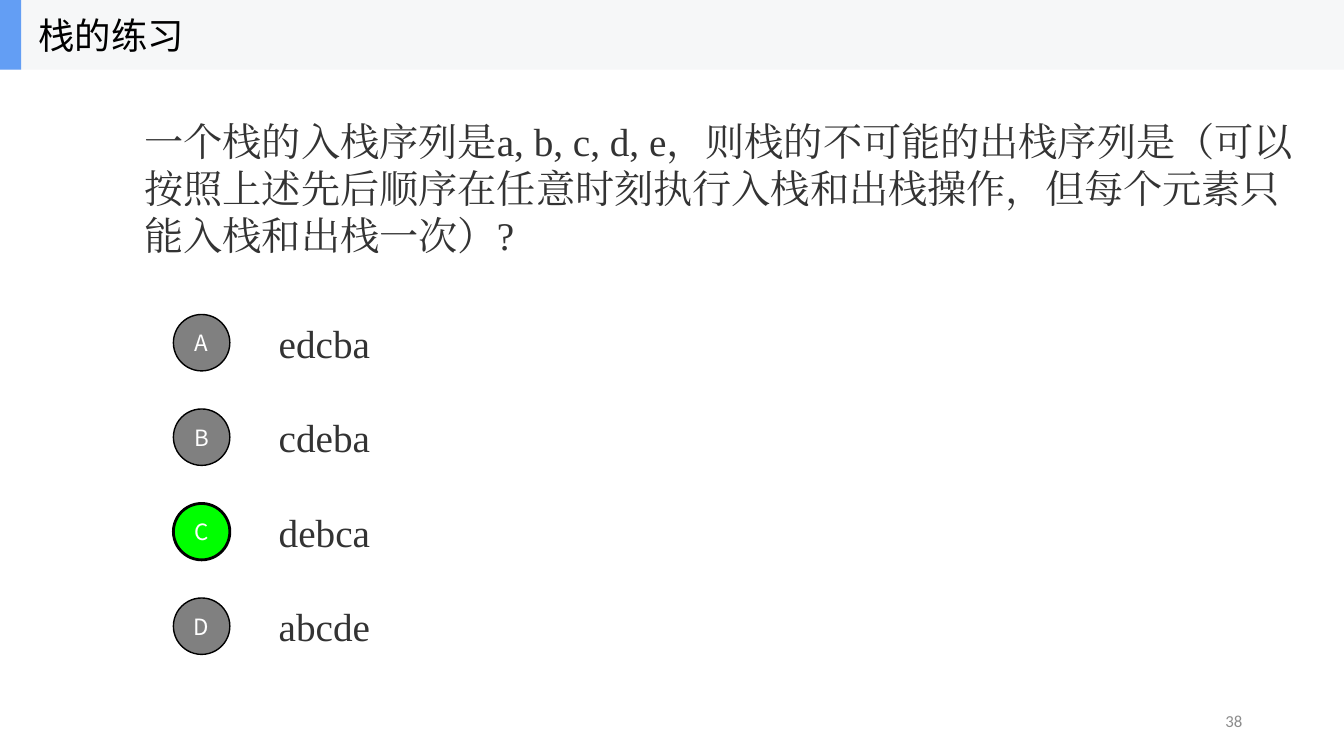
from lxml.etree import SubElement
from pptx import Presentation
from pptx.dml.color import RGBColor
from pptx.enum.shapes import MSO_SHAPE as Preset
from pptx.enum.text import MSO_ANCHOR as Anchor, MSO_AUTO_SIZE as AutoSize, PP_ALIGN as Align
from pptx.oxml.ns import qn
from pptx.util import Inches, Pt

WIDTH, HEIGHT = 13.33, 7.5
ROW = HEIGHT / 8
BAND_HEIGHT = 0.69
FIRST_OPTION_TOP = 3.05
OPTION_HEIGHT = 0.7
CIRCLE = 0.56
SANS, SERIF = "Noto Sans CJK SC", "Times New Roman"
INK, GREY, GREEN = "333333", "808080", "00FF00"

QUESTION = (
    "一个栈的入栈序列是a, b, c, d, e，则栈的不可能的出栈序列是"
    "（可以按照上述先后顺序在任意时刻执行入栈和出栈操作，"
    "但每个元素只能入栈和出栈一次）?"
)
OPTIONS = {"A": "edcba", "B": "cdeba", "C": "debca", "D": "abcde"}
ANSWER = "C"


def color(hex_string):
    return RGBColor.from_string(hex_string)


def place(shape, left, top, width, height):
    shape.left, shape.top = Inches(left), Inches(top)
    shape.width, shape.height = Inches(width), Inches(height)


def write(shape, text, size, font, hex_string, align=Align.LEFT):
    frame = shape.text_frame
    frame.word_wrap = True
    frame.auto_size = AutoSize.NONE
    frame.vertical_anchor = Anchor.MIDDLE
    paragraph = frame.paragraphs[0]
    paragraph.alignment = align
    paragraph.space_before = Pt(0)
    run = paragraph.add_run()
    run.text = text
    run.font.size = Pt(size)
    run.font.name = font
    run.font.color.rgb = color(hex_string)
    SubElement(run.font._element, qn("a:ea"), typeface=font)
    return paragraph


def add_text(slide, box, *style):
    shape = slide.shapes.add_textbox(*map(Inches, box))
    write(shape, *style)


def add_filled(slide, preset, box, fill, line_width=0):
    shape = slide.shapes.add_shape(preset, *map(Inches, box))
    shape.shadow.inherit = False
    shape.fill.solid()
    shape.fill.fore_color.rgb = color(fill)
    if line_width:
        shape.line.color.rgb = color("000000")
        shape.line.width = Pt(line_width)
    else:
        shape.line.fill.background()
    return shape


def add_heading(slide, text):
    add_filled(slide, Preset.RECTANGLE, (0, 0, WIDTH, BAND_HEIGHT), "F6F7F8")
    add_filled(slide, Preset.RECTANGLE, (0, 0, 0.21, BAND_HEIGHT), "639EF4")
    title = slide.shapes.title
    place(title, 0.28, 0, 2.08, BAND_HEIGHT)
    write(title, text, 26, SANS, "000000")
    slide.shapes._spTree.append(title._element)


def add_question(slide, text):
    body = slide.placeholders[1]
    place(body, WIDTH / 10, BAND_HEIGHT, 11.72, 2.34)
    paragraph = write(body, text, 28, SERIF, INK)
    properties = paragraph._p.get_or_add_pPr()
    properties.set("marL", "0")
    properties.set("indent", "0")
    SubElement(properties, qn("a:buNone"))


def add_option(slide, row, letter, text):
    top = FIRST_OPTION_TOP + row * ROW
    add_text(slide, (WIDTH / 5, top, WIDTH * 0.7, OPTION_HEIGHT), text, 28, SERIF, INK)
    correct = letter == ANSWER
    circle_box = (1.72, top + (OPTION_HEIGHT - CIRCLE) / 2, CIRCLE, CIRCLE)
    circle = add_filled(
        slide, Preset.OVAL, circle_box, GREEN if correct else GREY, 2 if correct else 1
    )
    frame = circle.text_frame
    frame.margin_left = frame.margin_right = 0
    frame.margin_top = frame.margin_bottom = 0
    write(circle, letter, 16, SANS, "FFFFFF", Align.CENTER)


def main():
    presentation = Presentation()
    presentation.slide_width = Inches(WIDTH)
    presentation.slide_height = Inches(HEIGHT)
    slide = presentation.slides.add_slide(presentation.slide_layouts[1])
    add_text(slide, (9.42, 6.95, 3, 0.4), "38", 12, "Calibri", "8C8C8C", Align.RIGHT)
    add_question(slide, QUESTION)
    for row, (letter, text) in enumerate(OPTIONS.items()):
        add_option(slide, row, letter, text)
    add_heading(slide, "栈的练习")
    presentation.save("out.pptx")


if __name__ == "__main__":
    main()
